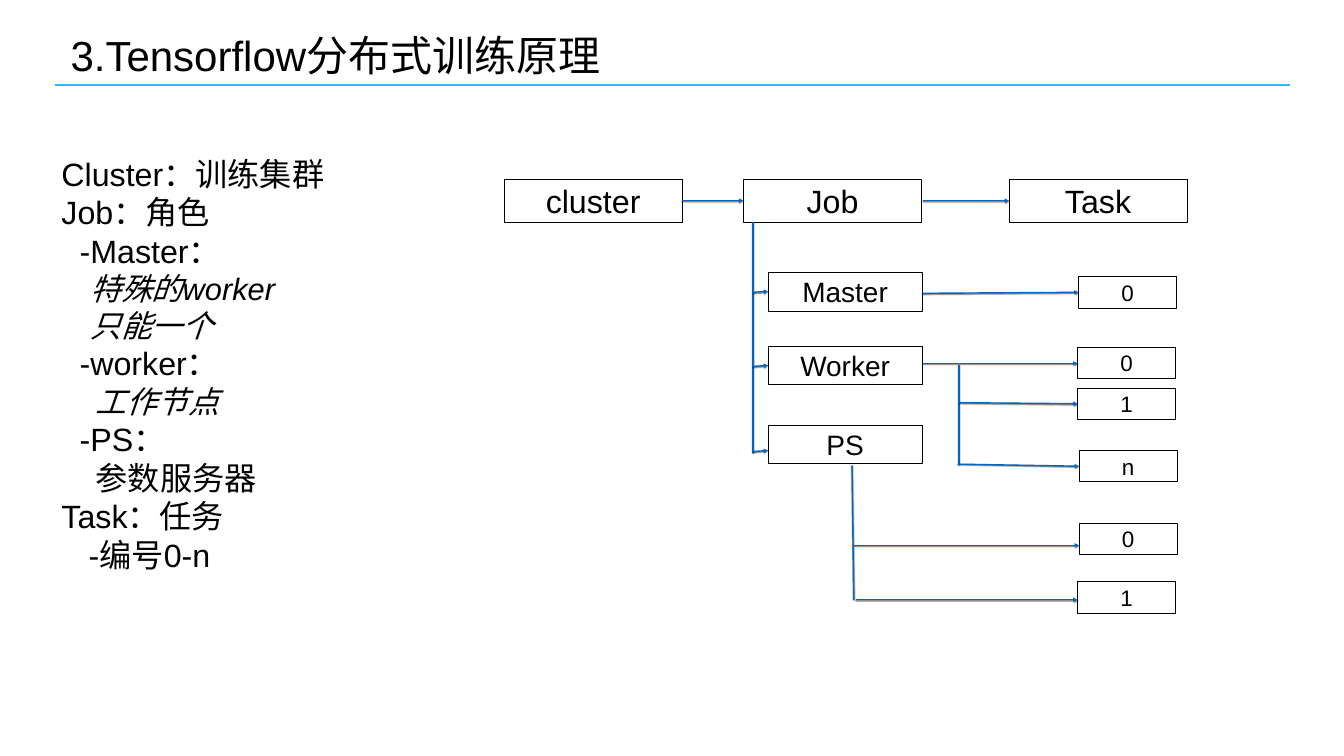
from lxml import etree
from pptx import Presentation
from pptx.dml.color import RGBColor
from pptx.enum.shapes import MSO_CONNECTOR, MSO_SHAPE
from pptx.enum.text import MSO_ANCHOR, MSO_AUTO_SIZE, PP_ALIGN
from pptx.oxml import parse_xml
from pptx.oxml.ns import nsdecls, qn
from pptx.util import Inches, Pt

BLACK = RGBColor(0x00, 0x00, 0x00)
SKY = RGBColor(0x2D, 0xB7, 0xF5)
BLUE = RGBColor(0x03, 0x65, 0xC0)
STRAIGHT, RECTANGLE = MSO_CONNECTOR.STRAIGHT, MSO_SHAPE.RECTANGLE
MIDDLE, NO_AUTOFIT = MSO_ANCHOR.MIDDLE, MSO_AUTO_SIZE.NONE
LEFT, CENTER = PP_ALIGN.LEFT, PP_ALIGN.CENTER

SHADOW = (
    f'<a:effectLst {nsdecls("a")}>'
    '<a:outerShdw blurRad="12700" dist="12700" dir="5400000" rotWithShape="0">'
    '<a:srgbClr val="000000"><a:alpha val="50000"/></a:srgbClr>'
    '</a:outerShdw></a:effectLst>'
)


class SlideBuilder:
    """Holds the style and the current slide."""

    font_name = "Arial"
    inset = 0.04

    def __init__(self, slide):
        self.slide = slide

    def add_text(self, paragraph, text, size, align, italic=False):
        paragraph.alignment = align
        run = paragraph.add_run()
        run.text = text
        style = {"name": self.font_name, "size": Pt(size), "italic": italic}
        for attribute, value in style.items():
            setattr(run.font, attribute, value)
        run.font.color.rgb = BLACK

    def frame(self, shape, inset):
        frame = shape.text_frame
        layout = {"word_wrap": True, "auto_size": NO_AUTOFIT,
                  "vertical_anchor": MIDDLE}
        layout |= {f"margin_{side}": Inches(inset)
                   for side in ("left", "top", "right", "bottom")}
        for attribute, value in layout.items():
            setattr(frame, attribute, value)
        return frame

    def place(self, shape, left, top, width, height):
        position = {"left": left, "top": top, "width": width, "height": height}
        for attribute, value in position.items():
            setattr(shape, attribute, Inches(value))

    def title(self, text, bounds, size):
        heading = self.slide.shapes.title
        self.place(heading, *bounds)
        self.add_text(self.frame(heading, 0).paragraphs[0], text, size, LEFT)

    def outline(self, entries, bounds):
        body = self.slide.placeholders[1]
        self.place(body, *bounds)
        frame = self.frame(body, self.inset)
        for number, (text, indent, size, italic) in enumerate(entries):
            paragraph = frame.add_paragraph() if number else frame.paragraphs[0]
            properties = paragraph._p.get_or_add_pPr()
            properties.set("marL", str(Inches(indent)))
            properties.set("indent", "0")
            etree.SubElement(properties, qn("a:buNone"))
            paragraph.space_before = Pt(0)
            self.add_text(paragraph, text, size, LEFT, italic)

    def node(self, text, left, top, width, height, size):
        box = self.slide.shapes.add_shape(
            RECTANGLE, *map(Inches, (left, top, width, height)))
        box.shadow.inherit = False
        box.fill.background()
        box.line.color.rgb = BLACK
        box.line.width = Pt(1)
        label = self.frame(box, self.inset).paragraphs[0]
        self.add_text(label, text, size, CENTER)

    def line(self, start, end, color=BLUE, arrow=True, shadow=True):
        connector = self.slide.shapes.add_connector(
            STRAIGHT, *map(Inches, (*start, *end)))
        connector.line.color.rgb = color
        connector.line.width = Pt(2)
        if arrow:
            etree.SubElement(connector.line._ln, qn("a:tailEnd"), type="triangle")
        effects = SHADOW if shadow else f'<a:effectLst {nsdecls("a")}/>'
        connector._element.spPr.append(parse_xml(effects))


def main():
    presentation = Presentation()
    presentation.slide_width = Inches(26.67)
    presentation.slide_height = Inches(15)
    layout = presentation.slide_layouts[1]
    builder = SlideBuilder(presentation.slides.add_slide(layout))

    # Title and its rule
    builder.line((1.1, 1.69), (25.6, 1.69), SKY, arrow=False, shadow=False)
    builder.title("3.Tensorflow分布式训练原理", (1.4, -0.01, 17.09, 2.21), 60)

    # Definitions: text, indent, size, italic
    builder.outline([
        ("Cluster：训练集群", 0, 46, False),
        ("Job：角色", 0, 46, False),
        ("-Master：", 0.36, 46, False),
        ("特殊的worker", 0.57, 44, True),
        ("只能一个", 0.57, 44, True),
        ("-worker：", 0.36, 46, False),
        ("工作节点", 0.68, 44, True),
        ("-PS：", 0.36, 46, False),
        ("参数服务器", 0.68, 46, False),
        ("Task：任务", 0, 46, False),
        ("-编号0-n", 0.54, 46, False),
    ], (1.18, 2.92, 8.25, 8.6))

    # Headings of the three levels
    for name, left in (("cluster", 10), ("Job", 14.75), ("Task", 20.02)):
        builder.node(name, left, 3.55, 3.54, 0.86, 46)
    for start, end in ((13.54, 14.75), (18.31, 20.02)):
        builder.line((start, 3.98), (end, 3.98))

    # Job roles hanging from a trunk
    trunk, role_left = 14.94, 15.24
    builder.line((trunk, 4.41), (trunk, 8.98), arrow=False)
    for role, top, branch in (("Master", 5.41, 5.8), ("Worker", 6.87, 7.27),
                              ("PS", 8.43, 8.96)):
        builder.node(role, role_left, top, 3.06, 0.76, 40)
        builder.line((trunk, branch), (role_left, branch - 0.02))

    # Trunks from the Worker and PS roles to their tasks
    builder.line((19.03, 7.25), (19.03, 9.21), arrow=False)
    builder.line((16.91, 9.24), (16.94, 11.9), arrow=False)

    # Tasks: number, left, top, start and end height of the arrow
    for number, left, top, start, end_y in (
        ("0", 21.4, 5.49, (18.31, 5.82), 5.8),
        ("0", 21.38, 6.89, (18.31, 7.21), 7.21),
        ("1", 21.38, 7.7, (19.02, 7.99), 8.01),
        ("n", 21.41, 8.94, (19.01, 9.21), 9.25),
        ("0", 21.41, 10.38, (16.94, 10.82), 10.82),
        ("1", 21.38, 11.54, (16.98, 11.9), 11.9),
    ):
        builder.node(number, left, top, 1.95, 0.62, 32)
        builder.line(start, (left, end_y))

    presentation.save("out.pptx")


if __name__ == "__main__":
    main()
